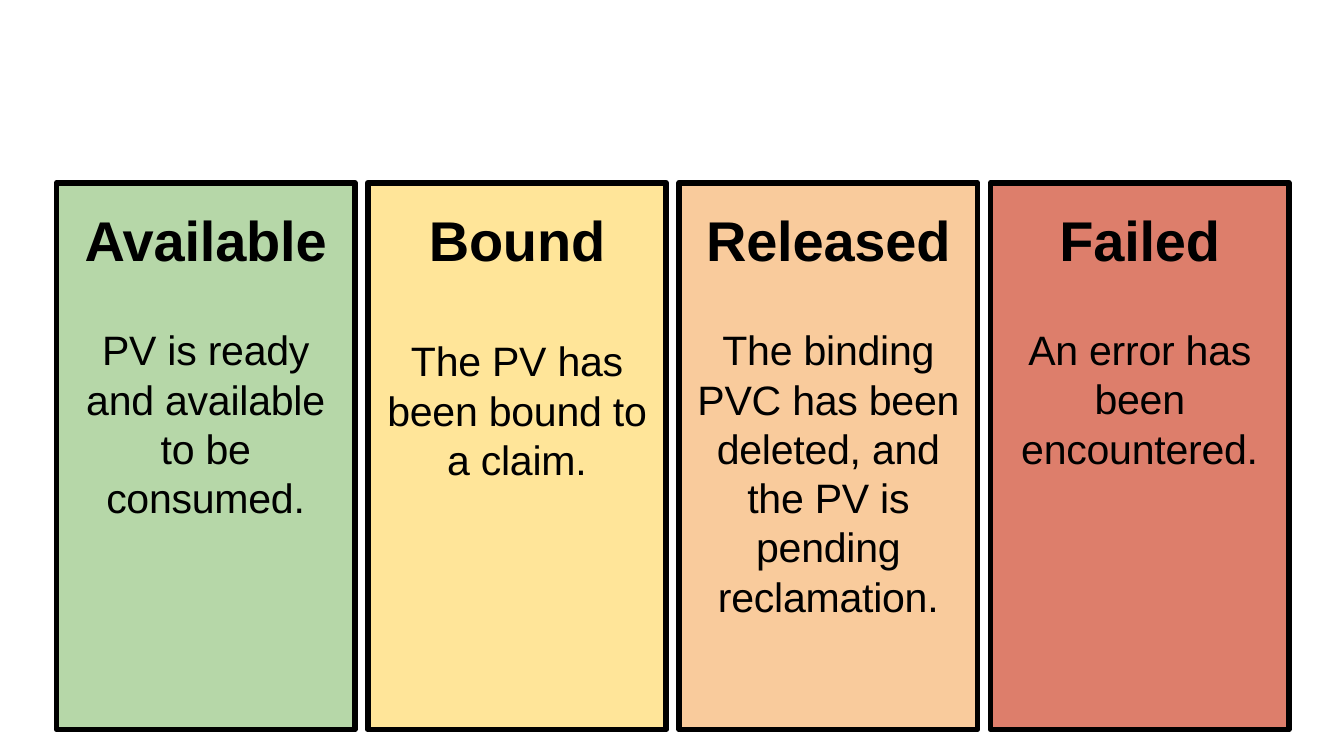
from dataclasses import dataclass

from pptx import Presentation
from pptx import util as u
from pptx.dml.color import RGBColor
from pptx.enum import shapes, text


@dataclass(frozen=True)
class Theme:
    """Colours and type sizes of the phase cards."""
    font: str = "Arial"
    ink: str = "000000"
    available: str = "B6D7A8"
    bound: str = "FFE599"
    released: str = "F9CB9C"
    failed: str = "DD7E6B"
    heading_size: float = 30
    body_size: float = 22
    border: float = 3
    tracking: float = -0.1


class PhasePage:
    """Holds the theme and the current slide."""

    def __init__(self, page, theme):
        """Keep the slide and its theme."""
        self.page = page
        self.theme = theme

    def span(self, para, wording, size, bold=False):
        """Add one styled run."""
        span = para.add_run()
        span.text = wording
        span.font.name = self.theme.font
        span.font.size = u.Pt(size)
        span.font.bold = bold
        span.font.color.rgb = RGBColor.from_string(self.theme.ink)
        span.font._element.set("spc", str(round(self.theme.tracking * 100)))

    def card(self, left, top, width, height, fill, phase, meaning, margin, gap):
        """Draw a bordered card with a heading and its explanation."""
        box = self.page.shapes.add_shape(
            shapes.MSO_SHAPE.RECTANGLE,
            u.Inches(left), u.Inches(top), u.Inches(width), u.Inches(height))
        box.shadow.inherit = False
        box.fill.solid()
        box.fill.fore_color.rgb = RGBColor.from_string(fill)
        box.line.color.rgb = RGBColor.from_string(self.theme.ink)
        box.line.width = u.Pt(self.theme.border)

        frame = box.text_frame
        frame.word_wrap = True
        frame.vertical_anchor = text.MSO_ANCHOR.TOP
        frame.margin_left = frame.margin_right = frame.margin_bottom = 0
        frame.margin_top = u.Inches(0.17)

        heading = frame.paragraphs[0]
        heading.alignment = text.PP_ALIGN.CENTER
        self.span(heading, phase, self.theme.heading_size, bold=True)

        body = frame.add_paragraph()
        body.alignment = text.PP_ALIGN.CENTER
        body.space_before = u.Pt(gap)
        properties = body._p.get_or_add_pPr()
        for side in ("marL", "marR"):
            properties.set(side, str(u.Inches(margin)))
        self.span(body, meaning, self.theme.body_size)


def main():
    """Build the slide of volume phases."""
    theme = Theme()
    deck = Presentation()
    deck.slide_width = u.Inches(10)
    deck.slide_height = deck.slide_width * 9 // 16
    phases = PhasePage(deck.slides.add_slide(deck.slide_layouts[6]), theme)
    cards = [
        (theme.available, "Available",
         "PV is ready and available to be consumed.", 0.2, 27.9),
        (theme.bound, "Bound",
         "The PV has been bound to a claim.", 0.12, 33.8),
        (theme.released, "Released",
         "The binding PVC has been deleted, and the PV is pending reclamation.",
         0.12, 27.9),
        (theme.failed, "Failed",
         "An error has been encountered.", 0.2, 27.8),
    ]
    first_left, last_left = 0.42, 7.37
    pitch = (last_left - first_left) / (len(cards) - 1)
    for column, card in enumerate(cards):
        phases.card(first_left + column * pitch, 1.36, 2.22, 4.07, *card)
    deck.save("out.pptx")


if __name__ == "__main__":
    main()
